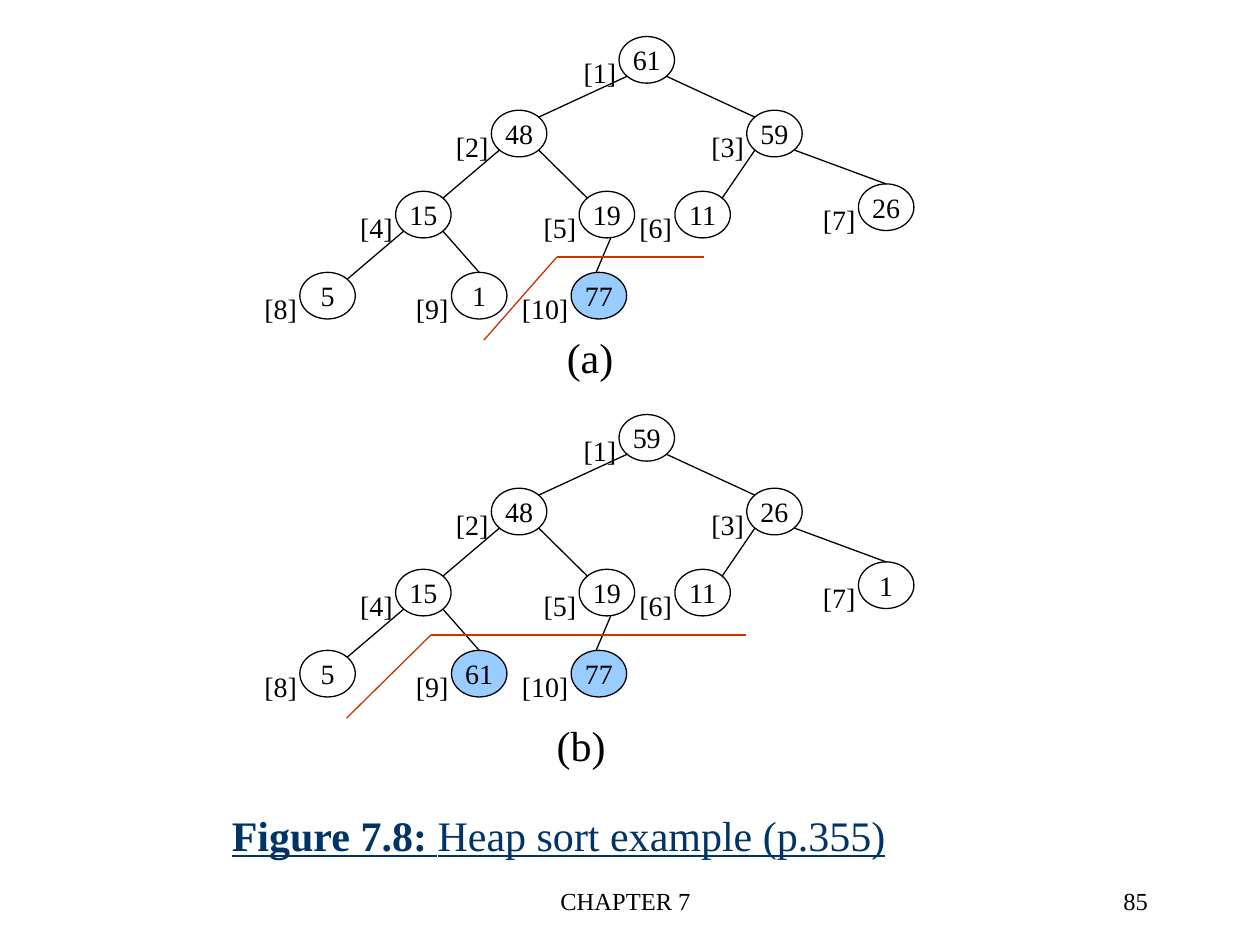
from lxml import etree
from pptx import Presentation
from pptx.dml.color import RGBColor
from pptx.enum.shapes import MSO_CONNECTOR, MSO_SHAPE
from pptx.enum.text import MSO_ANCHOR, MSO_AUTO_SIZE, PP_ALIGN
from pptx.oxml.ns import qn
from pptx.util import Inches, Pt

STRAIGHT = MSO_CONNECTOR.STRAIGHT
OVAL = MSO_SHAPE.OVAL
MIDDLE = MSO_ANCHOR.MIDDLE
NO_FIT, GROW = MSO_AUTO_SIZE.NONE, MSO_AUTO_SIZE.SHAPE_TO_FIT_TEXT
LEFT, CENTER, RIGHT = PP_ALIGN.LEFT, PP_ALIGN.CENTER, PP_ALIGN.RIGHT

FONT = "Times New Roman"
BLACK, NAVY, RED, SKY = "000000", "003366", "CC3300", "99CCFF"

# Node grid: column and row steps, first column, node size
COL, ROW = 0.76 / 12, 1.17 / 20
X0, Y0 = 2.38, 0.29
NODE_W, NODE_H = 0.44, 0.37
TREE_STEP = 3

# (column, row) of heap positions 1 to 10
CELLS = [(40, 0), (24, 10), (56, 10), (12, 21), (35, 21),
         (47, 21), (70, 20), (0, 32), (19, 32), (34, 32)]

# Points on a node, as shares of its width and height
TOP, TOP_LEFT, TOP_RIGHT = (0.5, 0), (0.15, 0.15), (0.85, 0.15)
LOW_LEFT, LOW_RIGHT = (0.15, 0.85), (0.85, 0.85)
EDGES = [(1, LOW_LEFT, 2, TOP_RIGHT), (1, LOW_RIGHT, 3, TOP_LEFT),
         (2, LOW_LEFT, 4, TOP_RIGHT), (2, LOW_RIGHT, 5, TOP_LEFT),
         (4, LOW_LEFT, 8, TOP_RIGHT), (4, LOW_RIGHT, 9, TOP),
         (5, (0.57, 1), 10, (0.45, 0)),
         (3, LOW_LEFT, 6, TOP_RIGHT), (3, LOW_RIGHT, 7, TOP)]

# Values, first sorted position, caption with its place, sorted-part boundary
TREES = [
    ([61, 48, 59, 15, 19, 11, 26, 5, 1, 77], 10, ("(a)", 4.4, 2.58, 0.57),
     [(3.84, 2.7), (4.42, 2.04), (5.59, 2.04)]),
    ([59, 48, 26, 15, 19, 11, 1, 5, 61, 77], 9, ("(b)", 4.32, 5.66, 0.59),
     [(2.75, 5.7), (3.42, 5.04), (5.92, 5.04)]),
]


def rgb(color):
    return RGBColor.from_string(color)


def format_runs(p, size, color=BLACK, align=LEFT):
    p.alignment = align
    for r in p.runs:
        r.font.name, r.font.size = FONT, Pt(size)
        r.font.color.rgb = rgb(color)


def add_text(shapes, text, x, y, w, h, size, align=LEFT, wrap=False):
    tf = shapes.add_textbox(Inches(x), Inches(y), Inches(w), Inches(h)).text_frame
    tf.text = text
    tf.word_wrap = wrap
    tf.auto_size = NO_FIT if wrap else GROW
    format_runs(tf.paragraphs[0], size, align=align)


def add_line(shapes, start, end, color=BLACK):
    line = shapes.add_connector(STRAIGHT, *map(Inches, (*start, *end)))
    line.line.color.rgb = rgb(color)
    line.line.width = Pt(0.75)
    etree.SubElement(line._element.spPr, qn("a:effectLst"))


def add_node(shapes, value, position, x, y, is_sorted):
    """Draw a heap node with its [position] label at the lower left."""
    sp = shapes.add_shape(OVAL, Inches(x), Inches(y), Inches(NODE_W), Inches(NODE_H))
    sp.shadow.inherit = False
    if is_sorted:
        sp.fill.solid()
        sp.fill.fore_color.rgb = rgb(SKY)
    else:
        sp.fill.background()
    sp.line.color.rgb = rgb(BLACK)
    sp.line.width = Pt(0.75)
    tf = sp.text_frame
    tf.text = str(value)
    tf.word_wrap = False
    tf.vertical_anchor = MIDDLE
    format_runs(tf.paragraphs[0], 16, align=CENTER)

    label_w = 0.46 if position < 10 else 0.57
    add_text(shapes, f"[{position}]", x + 0.08 - label_w, y + 0.1, label_w, 0.37, 16)


def add_tree(s, top, values, first_sorted, caption, boundary):
    shapes = s.shapes.add_group_shape().shapes
    corners = [(X0 + col * COL, top + row * ROW) for col, row in CELLS]

    def point(position, share):
        x, y = corners[position - 1]
        return x + share[0] * NODE_W, y + share[1] * NODE_H

    for position, (value, (x, y)) in enumerate(zip(values, corners), 1):
        add_node(shapes, value, position, x, y, position >= first_sorted)
    for parent, parent_share, child, child_share in EDGES:
        add_line(shapes, point(parent, parent_share), point(child, child_share))
    for start, end in zip(boundary, boundary[1:]):
        add_line(shapes, start, end, RED)
    add_text(shapes, *caption, 0.5, 24)


def set_title(s, number, text):
    title = s.shapes.title
    title.left, title.top = Inches(1.74), Inches(6.29)
    title.width, title.height = Inches(5.75), Inches(0.67)
    tf = title.text_frame
    tf.text = number
    tf.auto_size = NO_FIT
    tf.vertical_anchor = MIDDLE
    p = tf.paragraphs[0]
    p.add_run().text = text
    format_runs(p, 24, NAVY)
    for r in p.runs:
        r.font.underline = True
    p.runs[0].font.bold = True


def main():
    prs = Presentation()
    prs.slide_width, prs.slide_height = Inches(10), Inches(7.5)
    s = prs.slides.add_slide(prs.slide_layouts[5])
    set_title(s, "Figure 7.8: ", "Heap sort example (p.355)")
    for i, tree in enumerate(TREES):
        add_tree(s, Y0 + i * TREE_STEP, *tree)
    add_text(s.shapes, "CHAPTER 7", 3.38, 6.98, 3.17, 0.5, 14, CENTER, wrap=True)
    add_text(s.shapes, "85", 7.13, 6.98, 2.08, 0.5, 14, RIGHT, wrap=True)
    prs.save("out.pptx")


if __name__ == "__main__":
    main()
